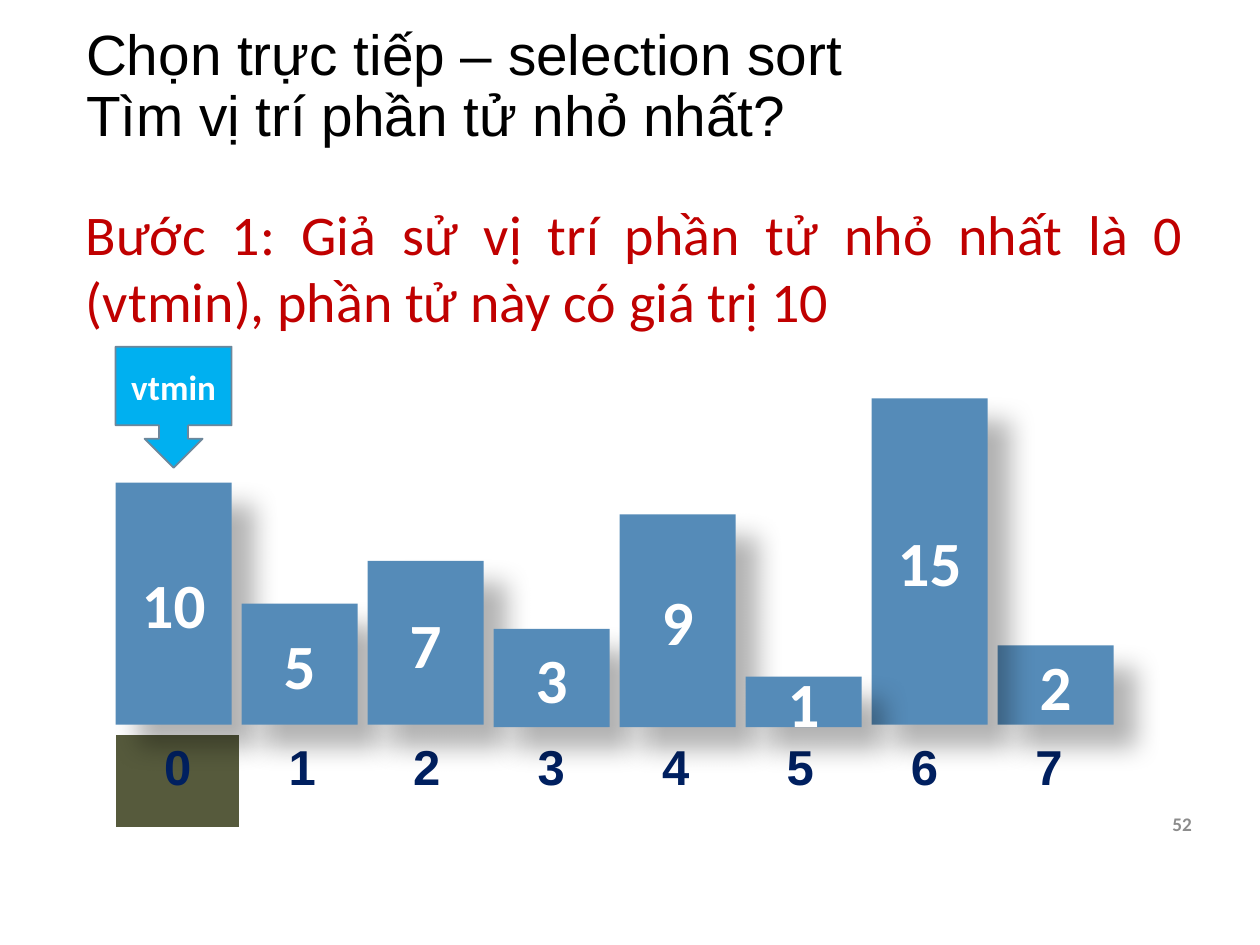
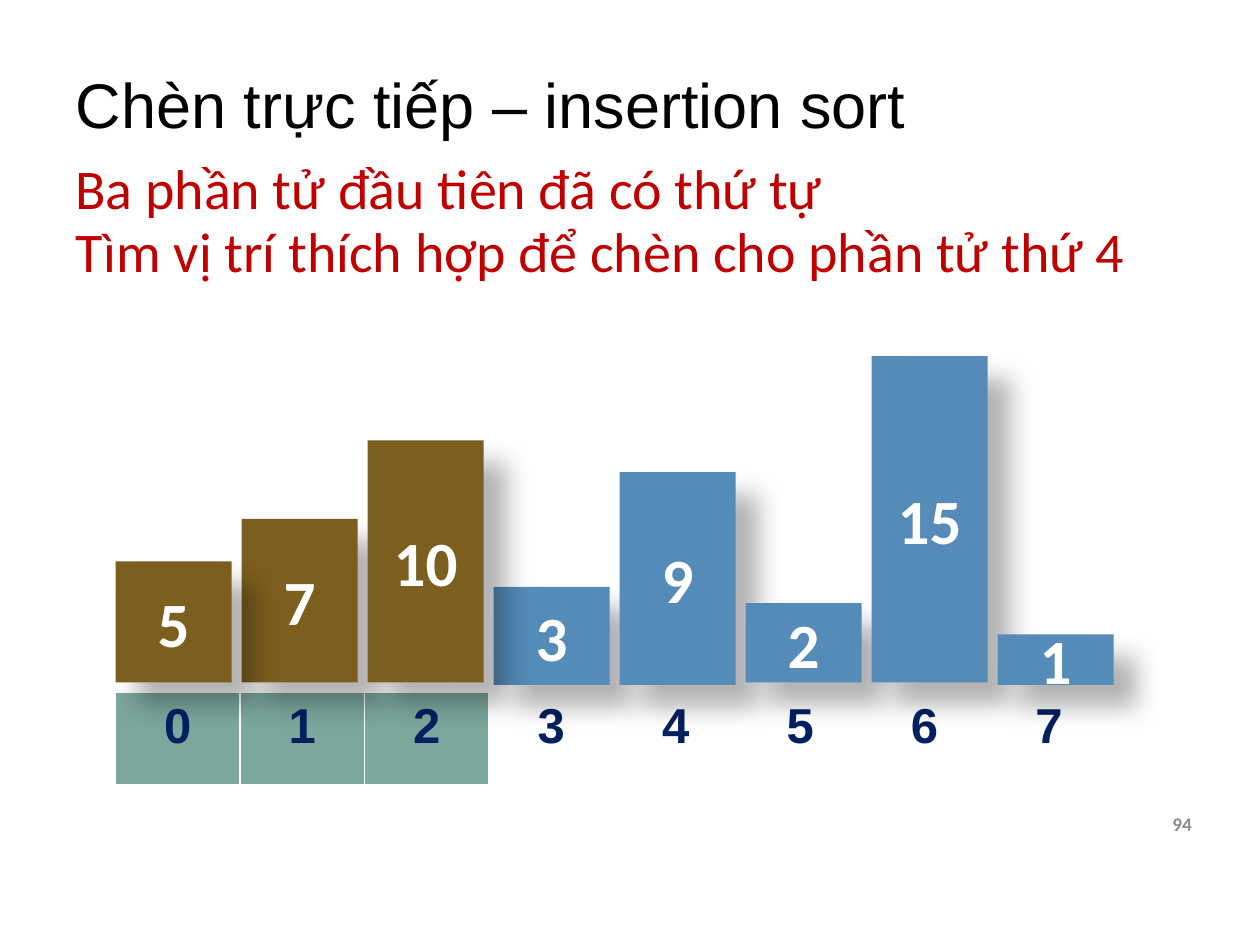
"""Build two slides that show steps of selection sort and insertion sort."""
from lxml import etree
from pptx import Presentation
from pptx import util as u
from pptx.dml.color import RGBColor
from pptx.enum import shapes, text
from pptx.oxml.ns import qn

BLACK = RGBColor(0x00, 0x00, 0x00)
WHITE = RGBColor(0xFF, 0xFF, 0xFF)
GREY = RGBColor(0x8C, 0x8C, 0x8C)
RED = RGBColor(0xC0, 0x00, 0x00)
NAVY = RGBColor(0x00, 0x20, 0x60)
BLUE = RGBColor(0x55, 0x8B, 0xB8)
BROWN = RGBColor(0x7C, 0x5F, 0x1E)
OLIVE = RGBColor(0x56, 0x5A, 0x3C)
TEAL = RGBColor(0x7B, 0xA7, 0x9D)
SKY = RGBColor(0x00, 0xB0, 0xF0)
STEEL = RGBColor(0x6D, 0x87, 0x9B)

LEFT, PITCH, BAR_WIDTH, CELL_WIDTH = 2.33, 2.54, 2.34, 2.51
BAR_HEIGHTS = {1: 1.02, 2: 1.6, 3: 1.98, 5: 2.44, 7: 3.3, 9: 4.29, 10: 4.88, 15: 6.58}
LOWERED_VALUES = {1, 3, 9}
LOWERING = 0.05
LABEL_GAP = 0.2
BORDERS = {"a:lnL": 1, "a:lnR": 1, "a:lnT": 1, "a:lnB": 3}

LEFT_ALIGN = text.PP_ALIGN.LEFT
RIGHT_ALIGN = text.PP_ALIGN.RIGHT
CENTER = text.PP_ALIGN.CENTER
JUSTIFY = text.PP_ALIGN.JUSTIFY
TOP = text.MSO_ANCHOR.TOP
MIDDLE = text.MSO_ANCHOR.MIDDLE


def write(frame, words, size, color, font="Calibri", bold=False, align=LEFT_ALIGN, spacing=1.0):
    """Fill a text frame and format every paragraph in it."""
    frame.text = words
    frame.word_wrap = True
    for para in frame.paragraphs:
        para.alignment = align
        para.line_spacing = spacing
        for span in para.runs:
            span.font.name = font
            span.font.size = u.Pt(size)
            span.font.bold = bold
            span.font.color.rgb = color


def lengths(*values):
    """Turn centimetres into lengths."""
    return [u.Cm(value) for value in values]


class SortDeck:
    """Hold the shared style and the slide being built."""

    def __init__(self):
        """Start a deck of 25.4 by 19.05 cm."""
        self.deck = Presentation()
        self.deck.slide_width, self.deck.slide_height = lengths(25.4, 19.05)
        self.page = None

    def start_page(self, title, number, place, size):
        """Add a slide with its title and page number."""
        self.page = self.deck.slides.add_slide(self.deck.slide_layouts[5])
        box = self.page.shapes.title
        box.left, box.top, box.width, box.height = lengths(*place)
        write(box.text_frame, title, size, BLACK, font="Arial", spacing=0.9)
        box.text_frame.auto_size = text.MSO_AUTO_SIZE.NONE
        box.text_frame.vertical_anchor = MIDDLE
        self.add_text(str(number), (22.58, 15.88, 1.7, 1.45), size=11, color=GREY,
                      bold=True, align=RIGHT_ALIGN, anchor=MIDDLE)

    def add_text(self, words, place, size=32, color=RED, anchor=TOP, **style):
        """Add a text box."""
        box = self.page.shapes.add_textbox(*lengths(*place))
        write(box.text_frame, words, size, color, **style)
        box.text_frame.vertical_anchor = anchor

    def add_block(self, kind, words, place, fill, size):
        """Add a filled shape with bold white text."""
        block = self.page.shapes.add_shape(kind, *lengths(*place))
        block.shadow.inherit = False
        block.fill.solid()
        block.fill.fore_color.rgb = fill
        block.line.fill.background()
        write(block.text_frame, words, size, WHITE, bold=True, align=CENTER)
        block.text_frame.vertical_anchor = MIDDLE
        return block

    def add_pointer(self, words, top):
        """Add a callout that points down at the first bar."""
        kind = shapes.MSO_SHAPE.DOWN_ARROW_CALLOUT
        pointer = self.add_block(kind, words, (LEFT, top, BAR_WIDTH, 2.44), SKY, 20)
        pointer.line.color.rgb = STEEL
        pointer.line.width = u.Pt(1)

    def add_bar(self, index, value, base, fill):
        """Add one shadowed bar standing on the base line."""
        height = BAR_HEIGHTS[value]
        bottom = base + (LOWERING if value in LOWERED_VALUES else 0)
        place = (LEFT + index * PITCH, bottom - height, BAR_WIDTH, height)
        bar = self.add_block(shapes.MSO_SHAPE.RECTANGLE, str(value), place, fill, 36)
        effects = bar.element.spPr.find(qn("a:effectLst"))
        shadow = etree.SubElement(effects, qn("a:outerShdw"), blurRad=str(u.Pt(15)),
                                  dist=str(u.Pt(18)), dir="2700000", algn="tl",
                                  rotWithShape="0")
        color = etree.SubElement(shadow, qn("a:srgbClr"), val=str(BLACK))
        etree.SubElement(color, qn("a:alpha"), val="30000")

    def add_array(self, values, base, order, marked, label_fill, marked_bar=BLUE):
        """Add index labels and bars, marking the first few places."""
        self.add_labels(len(values), base + LABEL_GAP, marked, label_fill)
        for index in order:
            self.add_bar(index, values[index], base, marked_bar if index < marked else BLUE)

    def add_labels(self, count, top, marked, fill):
        """Add the row of array indices as a table."""
        place = lengths(LEFT, top, count * CELL_WIDTH, 1.9)
        table = self.page.shapes.add_table(1, count, *place).table
        table.first_row = table.horz_banding = False
        for index, cell in enumerate(table.iter_cells()):
            write(cell.text_frame, str(index), 28, NAVY, font="Arial", bold=True, align=CENTER)
            self.add_borders(cell)
            if index < marked:
                cell.fill.solid()
                cell.fill.fore_color.rgb = fill
            else:
                cell.fill.background()

    def add_borders(self, cell):
        """Draw white borders around a table cell."""
        properties = cell._tc.get_or_add_tcPr()
        for side, width in BORDERS.items():
            line = etree.SubElement(properties, qn(side), w=str(u.Pt(width)))
            solid = etree.SubElement(line, qn("a:solidFill"))
            etree.SubElement(solid, qn("a:srgbClr"), val=str(WHITE))


def main():
    """Build both slides and save the deck."""
    show = SortDeck()

    show.start_page("Chọn trực tiếp – selection sort\nTìm vị trí phần tử nhỏ nhất?",
                    52, (1.48, 0.55, 22.43, 2.42), 32.4)
    show.add_array([10, 5, 7, 3, 9, 1, 15, 2], 14.61, [0, 1, 2, 3, 4, 7, 6, 5],
                   marked=1, label_fill=OLIVE)
    show.add_text("Bước 1: Giả sử vị trí phần tử nhỏ nhất là 0 (vtmin), "
                  "phần tử này có giá trị 10", (1.48, 3.89, 22.65, 3), align=JUSTIFY)
    show.add_pointer("vtmin", 6.99)

    show.start_page("Chèn trực tiếp – insertion sort", 94, (1.27, 0.76, 22.65, 2.85), 36)
    show.add_array([5, 7, 10, 3, 9, 2, 15, 1], 13.76, [3, 4, 5, 6, 7, 1, 2, 0],
                   marked=3, label_fill=TEAL, marked_bar=BROWN)
    steps = ["Ba phần tử đầu tiên đã có thứ tự", "Tìm vị trí thích hợp để chèn cho phần tử thứ 4"]
    for row, step in enumerate(steps):
        show.add_text(step, (1.27, 2.97 + row * 1.27, 22.43, 1.63))

    show.deck.save("out.pptx")


if __name__ == "__main__":
    main()
